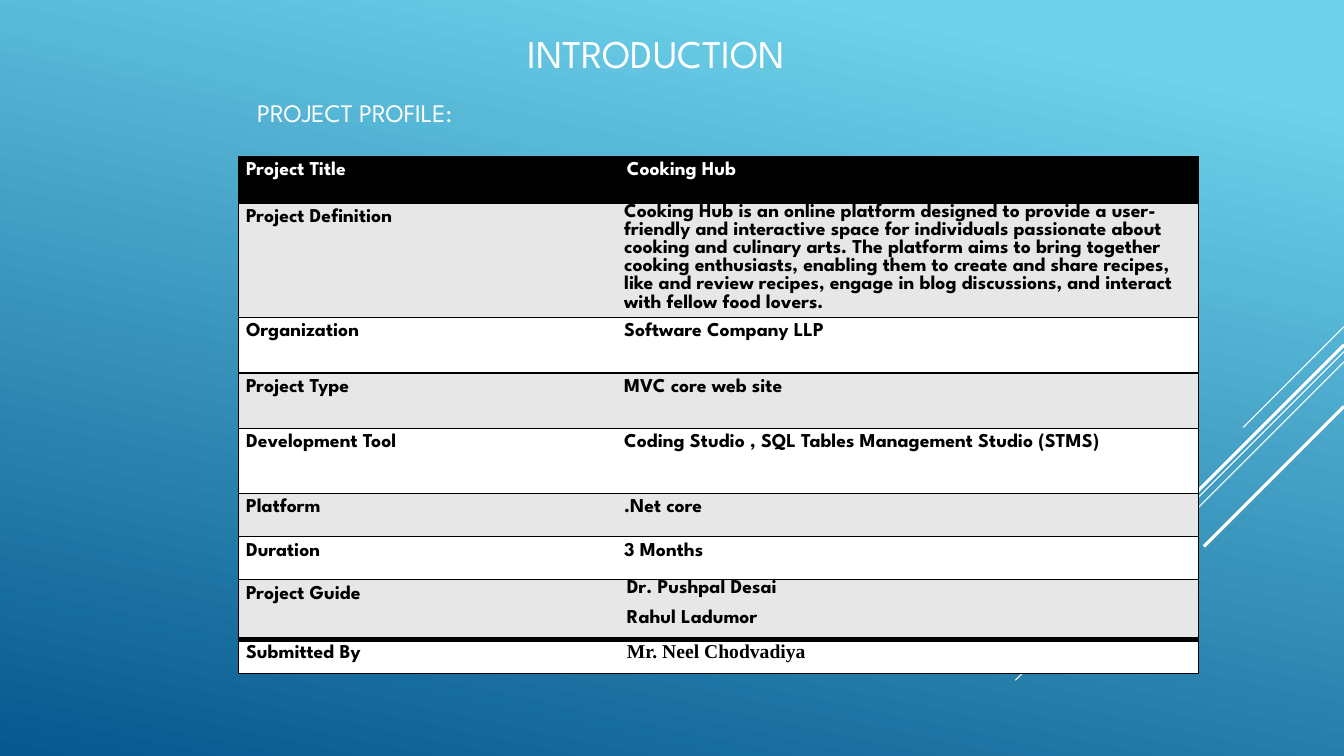
from dataclasses import dataclass
from typing import Optional

from lxml.etree import SubElement
from pptx import Presentation
from pptx.dml.color import RGBColor
from pptx.enum.shapes import MSO_CONNECTOR
from pptx.enum.text import MSO_AUTO_SIZE, PP_ALIGN
from pptx.oxml.ns import qn
from pptx.slide import Slide
from pptx.table import _Cell
from pptx.util import Cm, Pt

COLORS = {
    "sky": "6ED2EB",
    "deep": "06588E",
    "white": "FFFFFF",
    "black": "000000",
    "band": "E7E7E7",
}
FONT = "League Spartan"
SLIDE_W, SLIDE_H = 33.87, 19.05
LABEL_INDENT = 0.18
COL_WIDTHS = (9.58, 14.61)
THIN, THICK = 1, 4


@dataclass
class Heading:
    text: str
    left: float
    top: float
    height: float
    size: int


@dataclass
class Ray:
    """Diagonal line from the right edge, going down and left by run."""
    top: float
    run: float
    width: float


@dataclass
class ProfileRow:
    label: str
    values: tuple[str, ...]
    height: float
    indent: float = 0.13
    label_spacing: float = 17.1
    value_spacing: Optional[float] = 17.1
    value_font: str = FONT
    top_line: int = THIN


HEADINGS = [
    Heading("INTRODUCTION", 7.59, 0.61, 1.45, 28),
    Heading("PROJECT PROFILE:", 0, 2.34, 1.02, 18),
]
RAYS = [
    Ray(8.23, 2.54, 0.75),
    Ray(8.86, 8.28, 0.75),
    Ray(9.12, 5.26, 0.75),
    Ray(8.69, 4.85, 2.25),
    Ray(10.24, 3.53, 2.25),
]
DEFINITION = (
    "Cooking Hub is an online platform designed to provide a user-friendly and "
    "interactive space for individuals passionate about cooking and culinary arts. "
    "The platform aims to bring together cooking enthusiasts, enabling them to create "
    "and share recipes, like and review recipes, engage in blog discussions, and "
    "interact with fellow food lovers."
)
ROWS = [
    ProfileRow("Project Title", ("Cooking Hub",), 1.19, 0.2),
    ProfileRow("Project Definition", (DEFINITION,), 2.87,
               label_spacing=16.4, value_spacing=None),
    ProfileRow("Organization", ("Software Company LLP",), 1.4,
               label_spacing=16.9, value_spacing=16.9),
    ProfileRow("Project Type", ("MVC core web site",), 1.4,
               label_spacing=16.9, value_spacing=16.9),
    ProfileRow("Development Tool", ("Coding Studio , SQL Tables Management Studio (STMS)",),
               1.63, label_spacing=16.9, value_spacing=16.9),
    ProfileRow("Platform", (".Net core",), 1.09),
    ProfileRow("Duration", ("3 Months",), 1.09),
    ProfileRow("Project Guide", ("Dr. Pushpal Desai", "Rahul Ladumor"), 1.5, 0.2,
               value_spacing=None),
    ProfileRow("Submitted By", ("Mr. Neel Chodvadiya",), 0.86, 0.2,
               value_font="Times New Roman", top_line=THICK),
]


def rgb(name: str) -> RGBColor:
    return RGBColor.from_string(COLORS[name])


def add_run(p, text: str, size: int, color: str, font: str = FONT, bold: bool = False) -> None:
    r = p.add_run()
    r.text = text
    r.font.name = font
    r.font.size = Pt(size)
    r.font.bold = bold
    r.font.color.rgb = rgb(color)


def paint_background(s: Slide) -> None:
    fill = s.background.fill
    fill.gradient()
    fill.gradient_angle = 258
    for stop, color, position in zip(fill.gradient_stops, ("sky", "deep"), (0.1, 1)):
        stop.color.rgb = rgb(color)
        stop.position = position


def add_ray(s: Slide, ray: Ray) -> None:
    line = s.shapes.add_connector(
        MSO_CONNECTOR.STRAIGHT, Cm(SLIDE_W), Cm(ray.top),
        Cm(SLIDE_W - ray.run), Cm(ray.top + ray.run))
    line.line.color.rgb = rgb("white")
    line.line.width = Pt(ray.width)
    SubElement(line._element.spPr, qn("a:effectLst"))


def add_heading(s: Slide, heading: Heading) -> None:
    sp = s.shapes.add_textbox(Cm(heading.left), Cm(heading.top), Cm(17.88), Cm(heading.height))
    tf = sp.text_frame
    tf.word_wrap = True
    tf.auto_size = MSO_AUTO_SIZE.SHAPE_TO_FIT_TEXT
    p = tf.paragraphs[0]
    p.alignment = PP_ALIGN.CENTER
    add_run(p, heading.text, heading.size, "white")


def set_borders(cell: _Cell, widths: dict[str, int]) -> None:
    """Draw the sides given in points; the others get no line."""
    tc_pr = cell._tc.get_or_add_tcPr()
    for side in "LRTB":
        ln = SubElement(tc_pr, qn(f"a:ln{side}"), w=str(Pt(widths.get(side, 0))))
        if side in widths:
            solid = SubElement(ln, qn("a:solidFill"))
            SubElement(solid, qn("a:srgbClr"), val=COLORS["black"])
        else:
            SubElement(ln, qn("a:noFill"))


def fill_cell(cell: _Cell, texts: tuple[str, ...], indent: float, spacing: Optional[float],
              font: str, color: str, background: str) -> None:
    cell.margin_left = Cm(indent)
    cell.margin_right = cell.margin_top = cell.margin_bottom = 0
    cell.fill.solid()
    cell.fill.fore_color.rgb = rgb(background)
    tf = cell.text_frame
    for i, text in enumerate(texts):
        p = tf.add_paragraph() if i else tf.paragraphs[0]
        if i:
            p.space_before = Pt(8.4)
        if spacing:
            p.line_spacing = Pt(spacing)
        add_run(p, text, 14, color, font, bold=True)


def add_profile_table(s: Slide) -> None:
    frame = s.shapes.add_table(
        len(ROWS), len(COL_WIDTHS), Cm(6.02), Cm(3.94),
        Cm(sum(COL_WIDTHS)), Cm(sum(row.height for row in ROWS)))
    table = frame.table
    table.first_row = table.horz_banding = False
    for column, width in zip(table.columns, COL_WIDTHS):
        column.width = Cm(width)
    bottoms = [row.top_line for row in ROWS[1:]] + [THIN]
    for i, (row, bottom) in enumerate(zip(ROWS, bottoms)):
        table.rows[i].height = Cm(row.height)
        color = "black" if i else "white"
        background = ("band" if i % 2 else "white") if i else "black"
        label, value = table.cell(i, 0), table.cell(i, 1)
        for cell, outer in ((label, "L"), (value, "R")):
            set_borders(cell, {outer: THIN, "T": row.top_line, "B": bottom})
        fill_cell(label, (row.label,), LABEL_INDENT, row.label_spacing, FONT, color, background)
        fill_cell(value, row.values, row.indent, row.value_spacing, row.value_font,
                  color, background)


def main() -> None:
    prs = Presentation()
    prs.slide_width, prs.slide_height = Cm(SLIDE_W), Cm(SLIDE_H)
    s = prs.slides.add_slide(prs.slide_layouts[6])
    paint_background(s)
    for ray in RAYS:
        add_ray(s, ray)
    add_profile_table(s)
    for heading in HEADINGS:
        add_heading(s, heading)
    prs.save("out.pptx")


if __name__ == "__main__":
    main()
